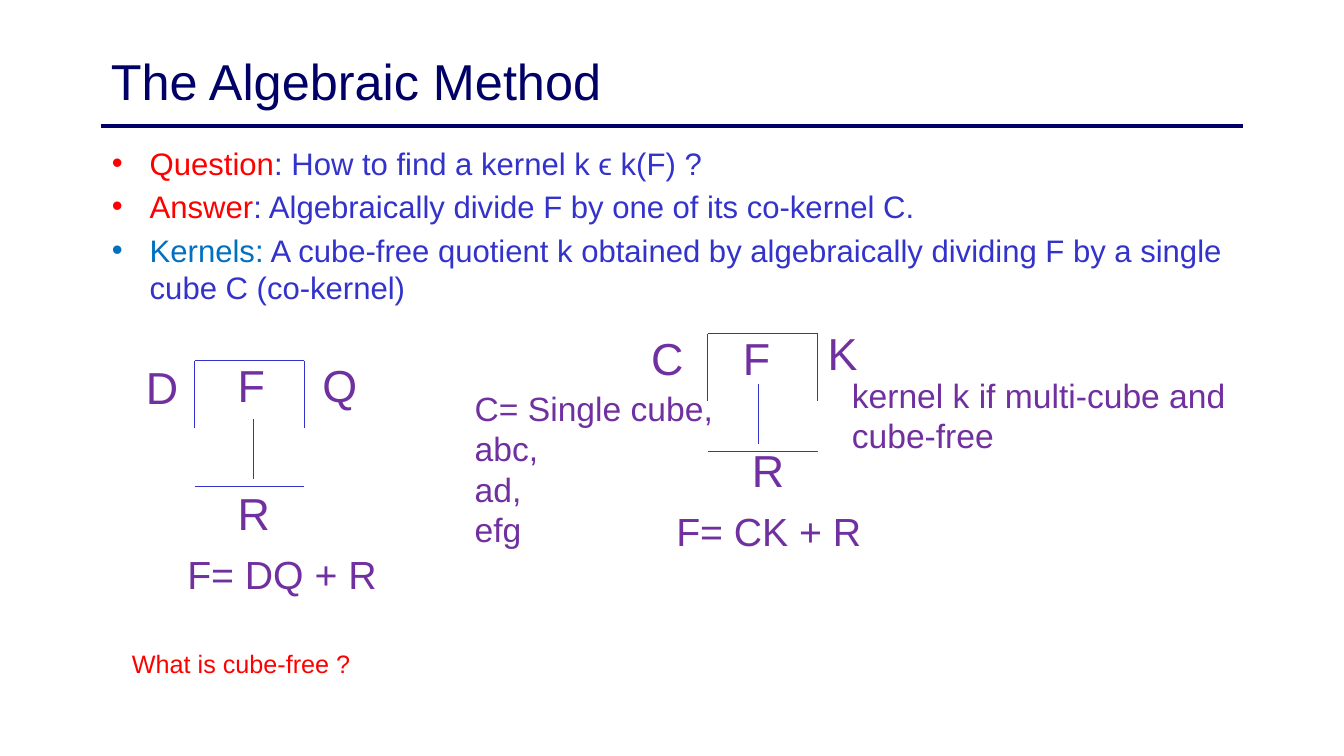
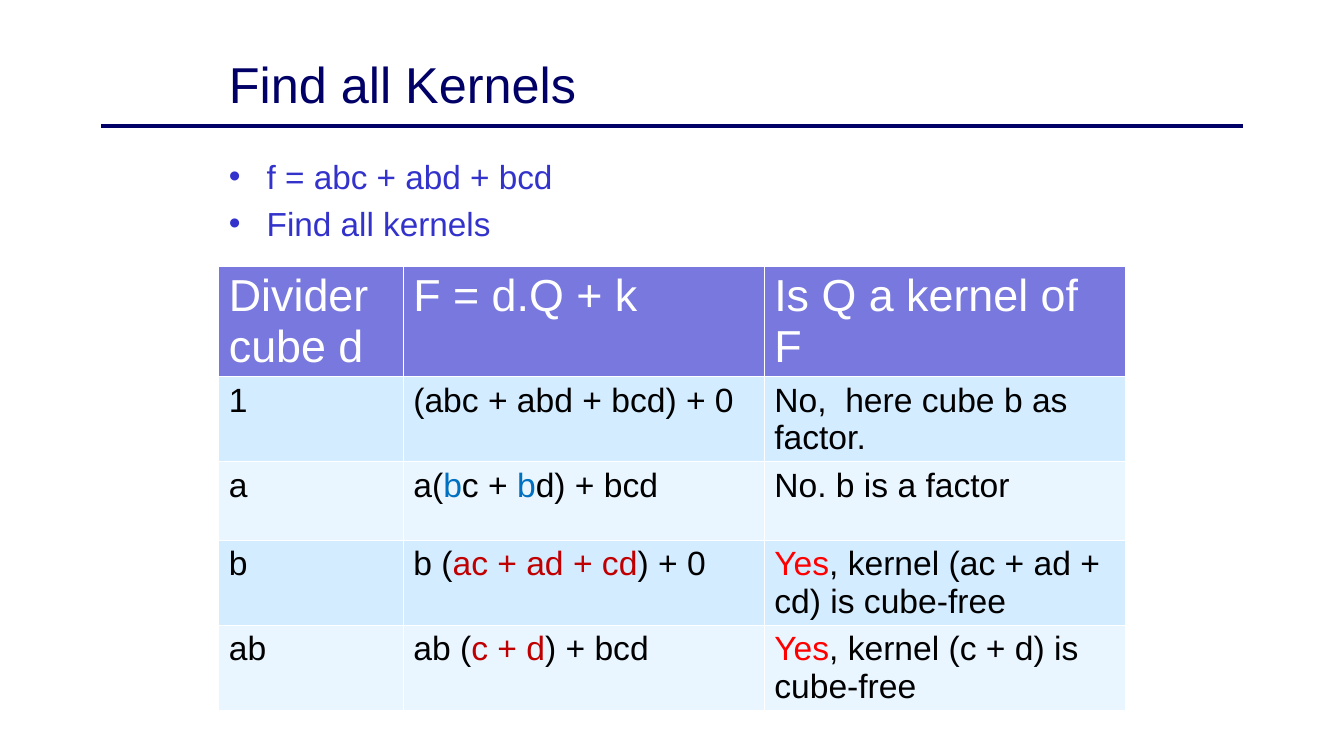
from dataclasses import dataclass

from lxml import etree
from pptx import Presentation
from pptx.dml.color import RGBColor
from pptx.enum import shapes, text
from pptx.oxml import ns
from pptx.util import Inches, Pt


@dataclass(frozen=True)
class Theme:
    font: str = "Arial"
    navy: str = "000066"
    blue: str = "3333CC"
    sky: str = "0070C0"
    red: str = "FF0000"
    dark_red: str = "C00000"
    purple: str = "7030A0"
    black: str = "000000"
    white: str = "FFFFFF"
    header_fill: str = "7878DE"
    row_fills: tuple = ("D3ECFF", "EAF6FF")
    title: float = 36
    symbol: float = 32
    equation: float = 28
    normal: float = 24
    small: float = 18


theme = Theme()


def write(frame, size, color, paragraphs):
    """Fill a text frame; a paragraph is a string or a list of (text, colour)."""
    for i, content in enumerate(paragraphs):
        paragraph = frame.paragraphs[0] if i == 0 else frame.add_paragraph()
        paragraph.alignment = text.PP_ALIGN.LEFT
        paragraph.font.name = theme.font
        paragraph.font.size = Pt(size)
        paragraph.font.bold = False
        paragraph.font.color.rgb = RGBColor.from_string(color)
        runs = [(content, color)] if isinstance(content, str) else content
        for words, run_color in runs:
            run = paragraph.add_run()
            run.text = words
            if run_color != color:
                run.font.color.rgb = RGBColor.from_string(run_color)


def draw_line(slide, x1, y1, x2, y2, color, width):
    line = slide.shapes.add_connector(
        shapes.MSO_CONNECTOR.STRAIGHT, *(Inches(v) for v in (x1, y1, x2, y2)))
    line.line.color.rgb = RGBColor.from_string(color)
    line.line.width = Pt(width)
    etree.SubElement(line.element.spPr, ns.qn("a:effectLst"))
    return line


prs = Presentation()
prs.slide_width, prs.slide_height = Inches(13.33), Inches(7.5)
layout = prs.slide_layouts[1]

# Titles and bullet lists
pages = [
    ("The Algebraic Method", (1, 0.17, 11.33, 1.25), (1.01, 1.38, 11.33, 1.85), 22.2, [
        [("Question", theme.red), (": How to find a kernel k ϵ k(F) ?", theme.blue)],
        [("Answer", theme.red),
         (": Algebraically divide F by one of its co-kernel C.", theme.blue)],
        [("Kernels:", theme.sky),
         (" A cube-free quotient k obtained by algebraically dividing F"
          " by a single cube C (co-kernel)", theme.blue)],
    ]),
    ("Find all Kernels", (2.17, 0.3, 9, 1.06), (2.17, 1.5, 9, 0.83), 23.8,
     ["f = abc + abd + bcd", "Find all kernels"]),
]
for heading, title_box, list_box, list_size, points in pages:
    slide = prs.slides.add_slide(layout)
    title, bullets = slide.shapes.title, slide.placeholders[1]
    for holder, box in ((title, title_box), (bullets, list_box)):
        holder.left, holder.top, holder.width, holder.height = map(Inches, box)
        holder.text_frame.auto_size = text.MSO_AUTO_SIZE.NONE
    write(title.text_frame, theme.title, theme.navy, [heading])
    write(bullets.text_frame, list_size, theme.blue, points)

method, kernels = prs.slides

# Title rule, shared through the layout
title_rule = draw_line(method, 1, 1.25, 12.33, 1.25, theme.navy, 2.25)
layout.shapes.element.append(title_rule.element)

# Long divisions: bracket corner, stem offset, height down to the remainder bar
bracket_width, bracket_height, stem_height = 1.09, 0.67, 0.59
for x, y, stem_x, stem_y, bar_y in ((1.93, 3.58, 0.58, 0.58, 1.25),
                                    (7.02, 3.31, 0.5, 0.5, 1.17)):
    right = x + bracket_width
    for ends in ((x, y, x, y + bracket_height),
                 (x, y, right, y),
                 (right, y, right, y + bracket_height),
                 (x + stem_x, y + stem_y, x + stem_x, y + stem_y + stem_height),
                 (x, y + bar_y, right, y + bar_y)):
        draw_line(method, *ends, theme.blue, 0.5)

# Division symbols, equations and remarks
symbols = [
    ("D", 1.35, 3.52), ("F", 2.26, 3.5), ("Q", 3.1, 3.5), ("R", 2.26, 4.77),
    ("C", 6.36, 3.23), ("F", 7.27, 3.23), ("K", 8.11, 3.18), ("R", 7.36, 4.34),
]
labels = [([name], x, y, 0.5, 0.64, theme.symbol, theme.purple) for name, x, y in symbols]
labels += [
    (["F= DQ + R"], 1.76, 5.41, 2.17, 0.57, theme.equation, theme.purple),
    (["F= CK + R"], 6.61, 4.98, 2.17, 0.57, theme.equation, theme.purple),
    (["C= Single cube, abc,", "ad,", "efg"],
     4.61, 3.8, 2.75, 1.72, theme.normal, theme.purple),
    (["kernel k if multi-cube and cube-free"],
     8.35, 3.67, 4.08, 0.91, theme.normal, theme.purple),
    (["What is cube-free ?"], 1.21, 6.38, 2.6, 0.4, theme.small, theme.red),
]
for words, x, y, width, height, size, color in labels:
    label = method.shapes.add_textbox(*map(Inches, (x, y, width, height)))
    label.text_frame.word_wrap = True
    write(label.text_frame, size, color, words)

# Kernel table
rows = [
    ["Divider cube d", "F = d.Q + k", "Is Q a kernel of F"],
    ["1", "(abc + abd + bcd) + 0", "No,  here cube b as factor."],
    ["a",
     [("a(", theme.black), ("b", theme.sky), ("c + ", theme.black),
      ("b", theme.sky), ("d) + bcd", theme.black)],
     "No. b is a factor"],
    ["b",
     [("b (", theme.black), ("ac + ad + cd", theme.dark_red), (") + 0", theme.black)],
     [("Yes", theme.red), (", kernel (ac + ad + cd) is cube-free", theme.black)]],
    ["ab",
     [("ab (", theme.black), ("c + d", theme.dark_red), (") + bcd", theme.black)],
     [("Yes", theme.red), (", kernel (c + d) is cube-free", theme.black)]],
]
kernel_table = kernels.shapes.add_table(
    len(rows), 3, *map(Inches, (2.17, 2.64, 9, 3.9))).table
for column, width in zip(kernel_table.columns, (1.83, 3.58, 3.58)):
    column.width = Inches(width)
for r, row in enumerate(rows):
    kernel_table.rows[r].height = Inches(0.78)
    if r == 0:
        fill, size, color = theme.header_fill, theme.symbol, theme.white
    else:
        fill, size, color = theme.row_fills[(r - 1) % 2], theme.normal, theme.black
    for c, content in enumerate(row):
        cell = kernel_table.cell(r, c)
        cell.fill.solid()
        cell.fill.fore_color.rgb = RGBColor.from_string(fill)
        write(cell.text_frame, size, color, [content])

prs.save("out.pptx")
